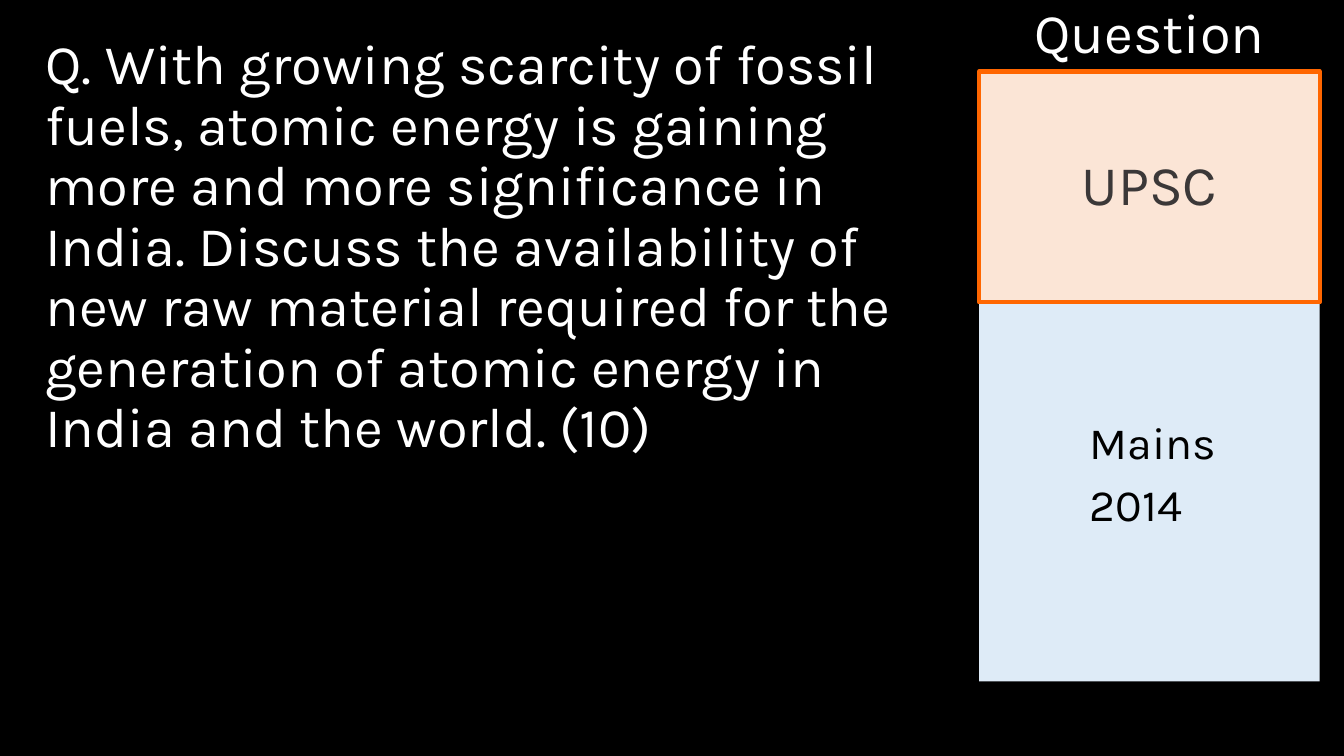
from dataclasses import dataclass
from typing import Optional

from lxml.etree import SubElement
from pptx import Presentation
from pptx.dml.color import RGBColor
from pptx.enum.text import MSO_ANCHOR as Anchor, MSO_AUTO_SIZE as AutoSize, PP_ALIGN as Align
from pptx.oxml.ns import qn
from pptx.shapes.placeholder import SlidePlaceholder
from pptx.text.text import _Paragraph as Paragraph
from pptx.util import Inches, Pt


@dataclass(frozen=True)
class Theme:
    font: str = "Karla"
    background: str = "000000"
    light_text: str = "FFFFFF"
    dark_text: str = "000000"
    exam_text: str = "3B3838"
    exam_fill: str = "FBE5D6"
    exam_line: str = "FF6600"
    paper_fill: str = "DEEBF7"
    large: int = 40
    medium: int = 32


@dataclass(frozen=True)
class Panel:
    placeholder: int
    left: float
    top: float
    width: float
    height: float
    lines: tuple[str, ...]
    color: str
    size: int
    fill: Optional[str] = None
    line: Optional[str] = None
    align: Align = Align.LEFT
    anchor: Anchor = Anchor.TOP
    indent: float = 0
    margin_top: float = 0.05
    space_before: int = 10


THEME = Theme()
COMPARISON_LAYOUT = 4
SIDE_LEFT, SIDE_WIDTH = 9.71, 3.38
QUESTION = (
    "Q. With growing scarcity of fossil fuels, atomic energy is gaining more and more "
    "significance in India. Discuss the availability of new raw material required for "
    "the generation of atomic energy in India and the world. (10)"
)

# Listed from back to front
PANELS = (
    Panel(3, SIDE_LEFT, 1.88, SIDE_WIDTH, 4.88, ("Mains", "2014"), THEME.dark_text,
          THEME.medium, fill=THEME.paper_fill, indent=1, margin_top=2.29),
    Panel(2, 0.35, 0.31, 9.29, 6.44, (QUESTION,), THEME.light_text, THEME.large),
    Panel(0, SIDE_LEFT, 0.71, SIDE_WIDTH, 2.29, ("UPSC",), THEME.exam_text, THEME.large,
          fill=THEME.exam_fill, line=THEME.exam_line, align=Align.CENTER,
          anchor=Anchor.MIDDLE, space_before=0),
    Panel(1, SIDE_LEFT, 0, SIDE_WIDTH, 0.71, ("Question",), THEME.light_text,
          THEME.large, align=Align.CENTER),
)


def set_all(target: object, values: dict[str, object]) -> None:
    for attribute, value in values.items():
        setattr(target, attribute, value)


def format_paragraph(paragraph: Paragraph, panel: Panel) -> None:
    set_all(paragraph, {"alignment": panel.align, "line_spacing": 0.9,
                        "space_before": Pt(panel.space_before)})
    properties = paragraph._p.get_or_add_pPr()
    properties.set("marL", str(Inches(panel.indent)))
    properties.set("indent", "0")
    SubElement(properties, qn("a:buNone"))
    for run in paragraph.runs:
        set_all(run.font, {"name": THEME.font, "size": Pt(panel.size), "bold": False})
        run.font.color.rgb = RGBColor.from_string(panel.color)


def fill_panel(shape: SlidePlaceholder, panel: Panel) -> None:
    set_all(shape, {side: Inches(getattr(panel, side))
                    for side in ("left", "top", "width", "height")})
    if panel.fill:
        shape.fill.solid()
        shape.fill.fore_color.rgb = RGBColor.from_string(panel.fill)
    if panel.line:
        shape.line.color.rgb = RGBColor.from_string(panel.line)
        shape.line.width = Pt(3)
    frame = shape.text_frame
    set_all(frame, {"text": "\n".join(panel.lines), "word_wrap": True,
                    "auto_size": AutoSize.NONE, "vertical_anchor": panel.anchor,
                    "margin_top": Inches(panel.margin_top)})
    for paragraph in frame.paragraphs:
        format_paragraph(paragraph, panel)


def main() -> None:
    deck = Presentation()
    set_all(deck, {"slide_width": Inches(13.33), "slide_height": Inches(7.5)})
    slide = deck.slides.add_slide(deck.slide_layouts[COMPARISON_LAYOUT])
    backdrop = slide.background.fill
    backdrop.solid()
    backdrop.fore_color.rgb = RGBColor.from_string(THEME.background)

    placeholders = {shape.placeholder_format.idx: shape for shape in slide.placeholders}
    tree = slide.shapes._spTree
    for panel in PANELS:
        shape = placeholders.pop(panel.placeholder)
        fill_panel(shape, panel)
        tree.append(shape._element)
    for unused in placeholders.values():
        tree.remove(unused._element)
    deck.save("out.pptx")


if __name__ == "__main__":
    main()
